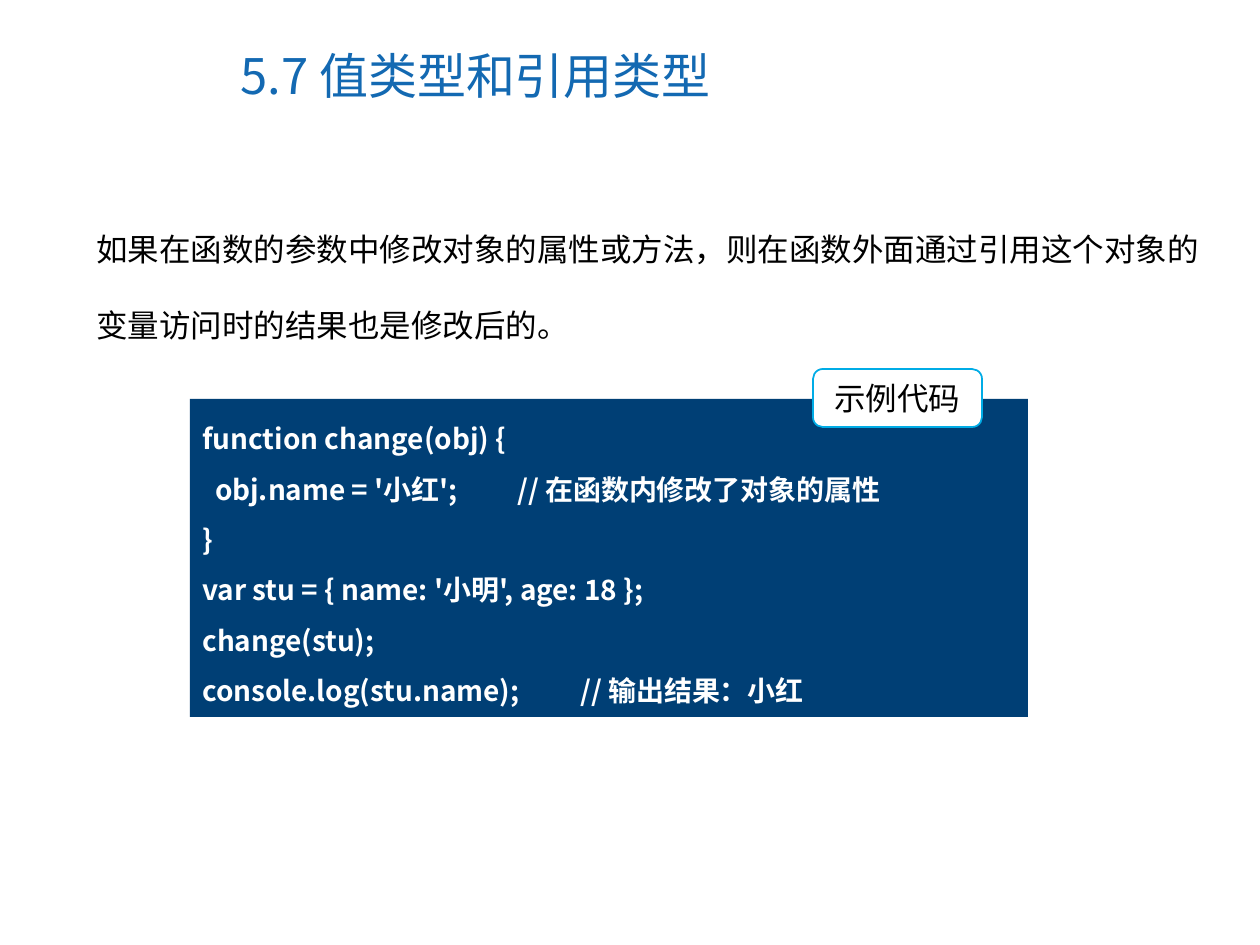
from pptx import Presentation
from pptx import util as u
from pptx.dml.color import RGBColor
from pptx.enum import shapes, text
from pptx.oxml.ns import qn
from lxml import etree

CJK_FONT = "Noto Sans CJK SC"
WHITE = RGBColor(0xFF, 0xFF, 0xFF)
BLACK = RGBColor(0, 0, 0)
TITLE_BLUE = RGBColor(0x13, 0x69, 0xB2)
CODE_BLUE = RGBColor(0x00, 0x3F, 0x75)
LABEL_BLUE = RGBColor(0x00, 0xAC, 0xE6)

TITLE = ["5.7 值类型和引用类型"]
EXPLANATION = ["如果在函数的参数中修改对象的属性或方法，则在函数外面通过引用这个对象的变量访问时的结果也是修改后的。"]
CODE = [
    "function change(obj) {",
    "  obj.name = '小红';\t// 在函数内修改了对象的属性",
    "}",
    "var stu = { name: '小明', age: 18 };",
    "change(stu);",
    "console.log(stu.name);\t// 输出结果：小红",
]
LABEL = ["示例代码"]

TITLE_BOX = (228, 21, 650, 107)
EXPLANATION_BOX = (84, 186, 1131, 165)
CODE_BOX = (190, 399, 838, 318)
LABEL_BOX = (813, 369, 169, 58)


def px(value):
    return u.Emu(round(value * 914400 / 126))


def write(shape, lines, size, color, font=CJK_FONT, bold=False, spacing=1.0,
          align=text.PP_ALIGN.LEFT, anchor=text.MSO_ANCHOR.TOP):
    frame = shape.text_frame
    frame.word_wrap = True
    frame.vertical_anchor = anchor
    for index, line in enumerate(lines):
        paragraph = frame.add_paragraph() if index else frame.paragraphs[0]
        paragraph.alignment = align
        paragraph.line_spacing = spacing
        run = paragraph.add_run()
        run.text = line
        run.font.name = font
        run.font.size = u.Pt(size)
        run.font.bold = bold
        run.font.color.rgb = color
        east_asian = etree.SubElement(run.font._element, qn("a:ea"))
        east_asian.set("typeface", CJK_FONT)


def add_panel(slide, kind, box, fill):
    shape = slide.shapes.add_shape(kind, *map(px, box))
    shape.shadow.inherit = False
    shape.fill.solid()
    shape.fill.fore_color.rgb = fill
    shape.line.fill.background()
    return shape


def main():
    presentation = Presentation()
    presentation.slide_width = px(1260)
    presentation.slide_height = px(945)
    slide = presentation.slides.add_slide(presentation.slide_layouts[6])

    title = slide.shapes.add_textbox(*map(px, TITLE_BOX))
    write(title, TITLE, 28, TITLE_BLUE, anchor=text.MSO_ANCHOR.MIDDLE)

    explanation = slide.shapes.add_textbox(*map(px, EXPLANATION_BOX))
    write(explanation, EXPLANATION, 18, BLACK, font="Arial", spacing=2.0)

    code = add_panel(slide, shapes.MSO_SHAPE.RECTANGLE, CODE_BOX, CODE_BLUE)
    write(code, CODE, 16, WHITE, bold=True, spacing=1.5)

    label = add_panel(slide, shapes.MSO_SHAPE.ROUNDED_RECTANGLE, LABEL_BOX, WHITE)
    label.adjustments[0] = 0.17
    label.line.color.rgb = LABEL_BLUE
    label.line.width = u.Pt(1)
    write(label, LABEL, 18, BLACK, font="Arial",
          align=text.PP_ALIGN.CENTER, anchor=text.MSO_ANCHOR.MIDDLE)

    presentation.save("out.pptx")


if __name__ == "__main__":
    main()
